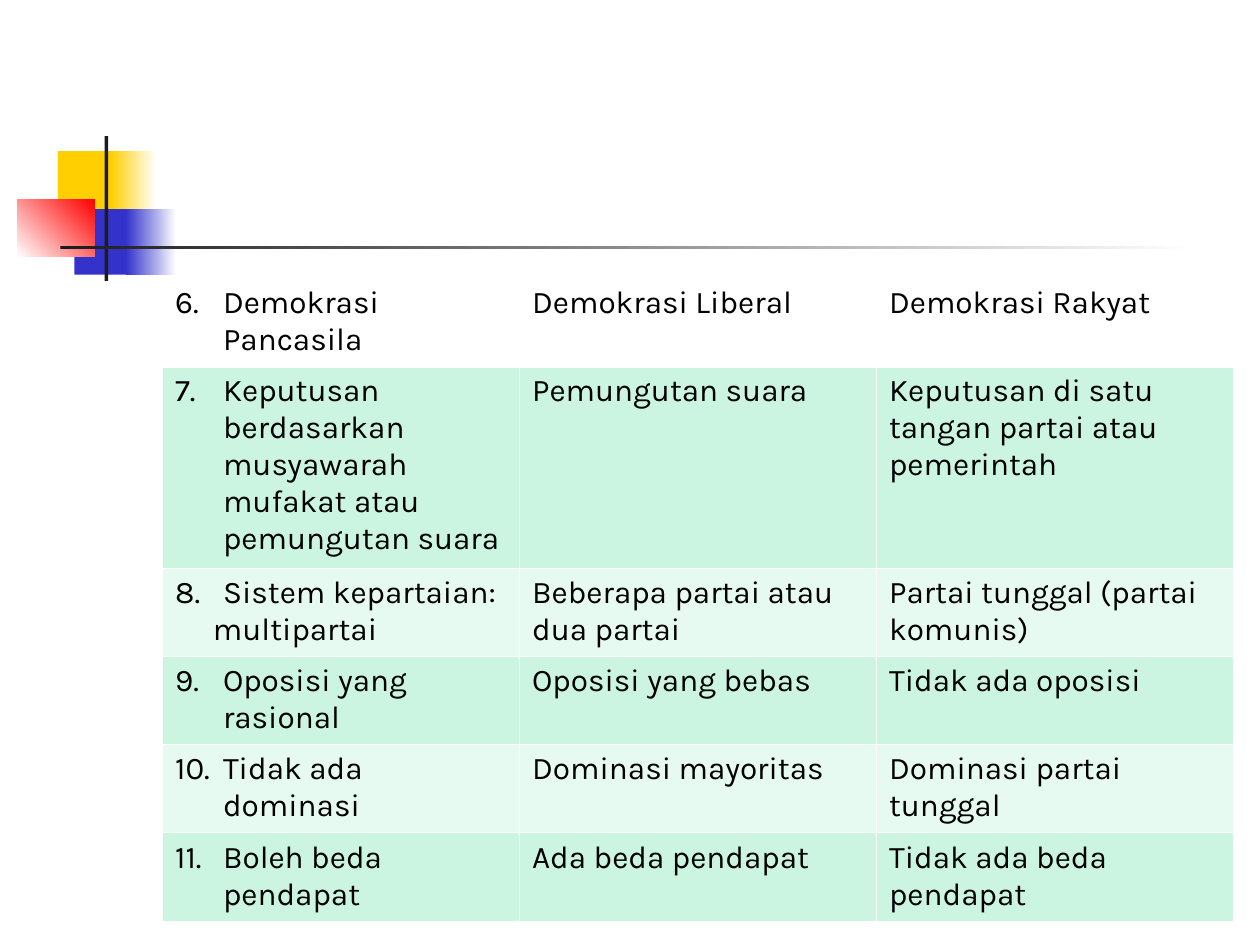
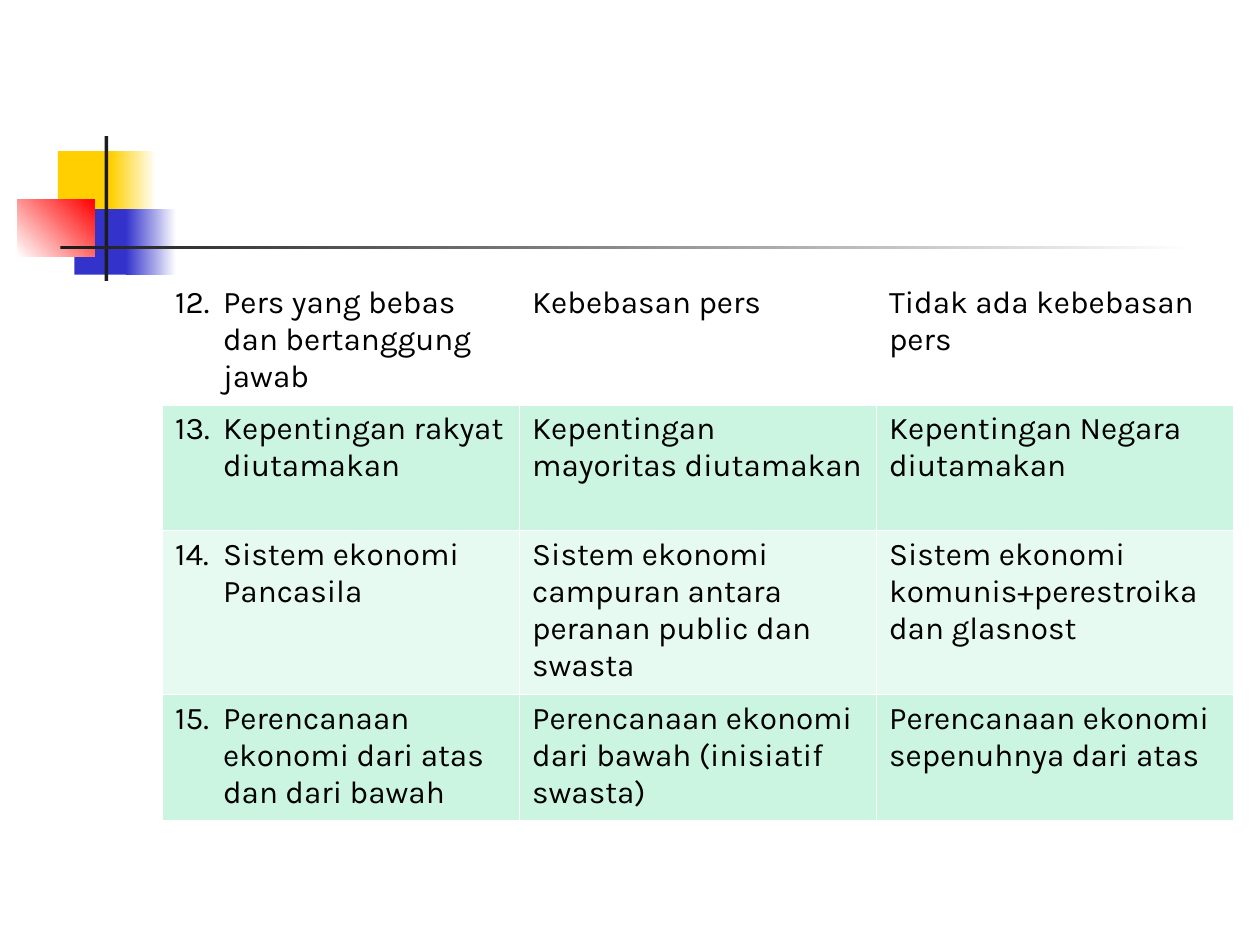
import lxml.etree
import pptx
import pptx.dml.color
import pptx.enum.shapes
import pptx.oxml.ns
import pptx.util

Inches = pptx.util.Inches
COLORS = {
    "white": "FFFFFF",
    "black": "000000",
    "yellow": "FFCF01",
    "blue": "3333CC",
    "red": "FF0000",
    "ink": "1C1C1C",
    "mint": "CBF5E1",
    "pale_mint": "E7FAF1",
}
FONT = "Karla"

# Left, top, width, height, colours (two make a gradient), gradient angle
DECORATION = [
    (0.46, 1.2, 0.48, 0.52, ["yellow"], 0),
    (0.88, 1.2, 0.36, 0.52, ["yellow", "white"], 0),
    (0.59, 1.66, 0.46, 0.52, ["blue"], 0),
    (1, 1.66, 0.4, 0.52, ["blue", "white"], 0),
    (0.14, 1.58, 0.61, 0.46, ["white", "red"], 45),
    (0.83, 1.08, 0.03, 1.15, ["ink"], 0),
    (0.48, 1.95, 9, 0.03, ["ink", "white"], 0),
]

# First number, row heights, rows of Pancasila / Liberal / Rakyat
COMPARISONS = [
    (6, [0.7, 1.6, 0.7, 0.7, 0.7, 0.7], [
        ("Demokrasi Pancasila", "Demokrasi Liberal", "Demokrasi Rakyat"),
        ("Keputusan berdasarkan musyawarah mufakat atau pemungutan suara",
         "Pemungutan suara", "Keputusan di satu tangan partai atau pemerintah"),
        ("Sistem kepartaian:\nmultipartai", "Beberapa partai atau dua partai",
         "Partai tunggal (partai komunis)"),
        ("Oposisi yang rasional", "Oposisi yang bebas", "Tidak ada oposisi"),
        ("Tidak ada dominasi", "Dominasi mayoritas", "Dominasi partai tunggal"),
        ("Boleh beda pendapat", "Ada beda pendapat", "Tidak ada beda pendapat"),
    ]),
    (12, [1, 1, 1.3, 1], [
        ("Pers yang bebas dan bertanggung jawab", "Kebebasan pers",
         "Tidak ada kebebasan pers"),
        ("Kepentingan rakyat diutamakan", "Kepentingan mayoritas diutamakan",
         "Kepentingan Negara diutamakan"),
        ("Sistem ekonomi Pancasila",
         "Sistem ekonomi campuran antara peranan public dan swasta",
         "Sistem ekonomi komunis+perestroika dan glasnost"),
        ("Perencanaan ekonomi dari atas dan dari bawah",
         "Perencanaan ekonomi dari bawah (inisiatif swasta)",
         "Perencanaan ekonomi sepenuhnya dari atas"),
    ]),
]


def rgb(name):
    return pptx.dml.color.RGBColor.from_string(COLORS[name])


def add_element(parent, tag, **attributes):
    element = lxml.etree.SubElement(parent, pptx.oxml.ns.qn(tag))
    for name, value in attributes.items():
        element.set(name, str(value))
    return element


presentation = pptx.Presentation()
presentation.slide_width = Inches(10)
presentation.slide_height = Inches(7.5)

for first_number, heights, rows in COMPARISONS:
    slide = presentation.slides.add_slide(presentation.slide_layouts[6])

    for left, top, width, height, colors, angle in DECORATION:
        shape = slide.shapes.add_shape(
            pptx.enum.shapes.MSO_SHAPE.RECTANGLE,
            Inches(left), Inches(top), Inches(width), Inches(height))
        shape.shadow.inherit = False
        shape.line.fill.background()
        if len(colors) == 1:
            shape.fill.solid()
            shape.fill.fore_color.rgb = rgb(colors[0])
        else:
            shape.fill.gradient()
            shape.fill.gradient_angle = angle
            for stop, color in zip(shape.fill.gradient_stops, colors):
                stop.color.rgb = rgb(color)

    table = slide.shapes.add_table(
        len(rows), 3, Inches(1.29), Inches(2.21), Inches(8.5), Inches(sum(heights))).table
    table.first_row = False
    table.horz_banding = False

    for row_index, (height, texts) in enumerate(zip(heights, rows)):
        table.rows[row_index].height = Inches(height)
        if row_index == 0:
            fill = "white"
        else:
            fill = "mint" if row_index % 2 else "pale_mint"

        for column_index, text in enumerate(texts):
            cell = table.cell(row_index, column_index)
            properties = cell._tc.get_or_add_tcPr()
            for side in "LRTB":
                heavy = (row_index, side) in [(0, "B"), (1, "T")]
                border = add_element(properties, f"a:ln{side}",
                                     w=pptx.util.Pt(1.47 if heavy else 0.45))
                border_fill = add_element(border, "a:solidFill")
                add_element(border_fill, "a:srgbClr", val=COLORS["white"])
            cell.fill.solid()
            cell.fill.fore_color.rgb = rgb(fill)

            for line_index, line in enumerate(text.split("\n")):
                frame = cell.text_frame
                paragraph = frame.add_paragraph() if line_index else frame.paragraphs[0]
                paragraph_properties = paragraph._p.get_or_add_pPr()
                if line_index:
                    paragraph_properties.set("marL", str(Inches(0.3)))
                elif column_index == 0:
                    paragraph_properties.set("marL", str(Inches(0.38)))
                    paragraph_properties.set("indent", str(Inches(-0.38)))
                    add_element(paragraph_properties, "a:buAutoNum",
                                type="arabicPeriod", startAt=first_number + row_index)
                run = paragraph.add_run()
                run.text = line
                run.font.name = FONT
                run.font.size = pptx.util.Pt(18)
                run.font.bold = False
                run.font.color.rgb = rgb("black")

presentation.save("out.pptx")
